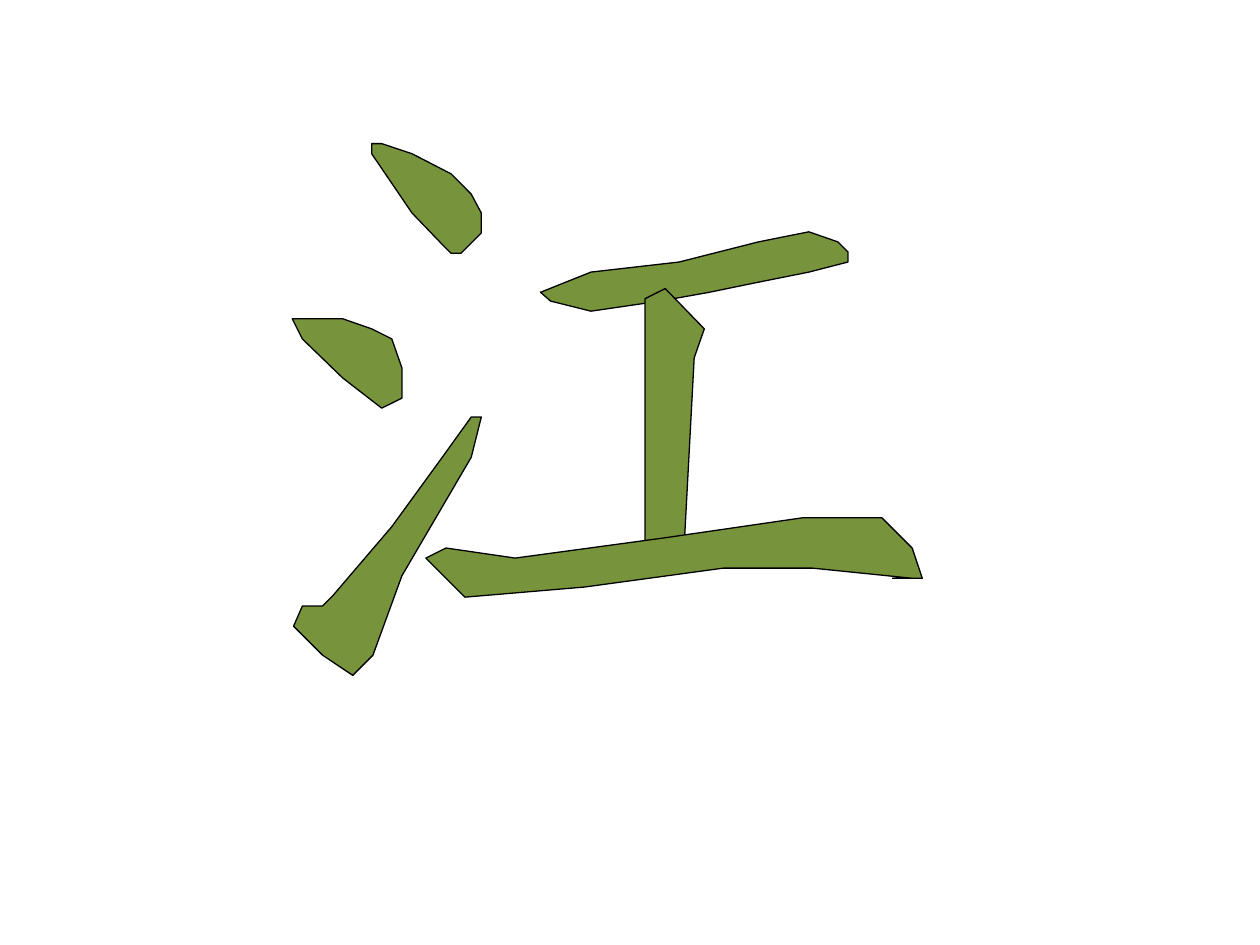
import pptx
import pptx.util
import pptx.dml.color

Inches = pptx.util.Inches
GREEN, BLACK = "77933C", "000000"

# Strokes of the character: corners in inches
DOTS = [
    [(2.95, 1.22), (3.27, 1.69), (3.5, 1.93), (3.58, 2.01), (3.66, 2.01),
     (3.82, 1.85), (3.82, 1.69), (3.74, 1.54), (3.58, 1.38), (3.27, 1.22),
     (3.03, 1.14), (2.95, 1.14)],
    [(2.32, 2.53), (2.48, 2.53), (2.72, 2.53), (2.95, 2.61), (3.11, 2.69),
     (3.19, 2.92), (3.19, 3.16), (3.03, 3.24), (2.72, 3), (2.4, 2.69)],
]
RISE = [
    (3.82, 3.31), (3.74, 3.31), (3.51, 3.63), (3.11, 4.18), (2.64, 4.73),
    (2.56, 4.81), (2.4, 4.81), (2.33, 4.97), (2.56, 5.2), (2.8, 5.36),
    (2.96, 5.2), (3.19, 4.57), (3.74, 3.63)]
UPPER = [
    (4.29, 2.32), (4.69, 2.16), (5.39, 2.08), (6.02, 1.92), (6.42, 1.84),
    (6.65, 1.92), (6.73, 2), (6.73, 2.08), (6.42, 2.16), (6.02, 2.24),
    (5.63, 2.32), (5.24, 2.39), (4.69, 2.47), (4.37, 2.39)]
STEM = [
    (5.12, 2.37), (5.12, 4.34), (5.43, 4.34), (5.51, 2.84), (5.59, 2.61),
    (5.28, 2.29)]
LOWER = [
    (7.24, 4.59), (6.45, 4.51), (6.06, 4.51), (5.74, 4.51), (4.64, 4.66),
    (3.69, 4.74), (3.38, 4.43), (3.54, 4.35), (4.09, 4.43), (5.27, 4.27),
    (6.37, 4.11), (7, 4.11), (7.24, 4.35), (7.32, 4.59), (7.16, 4.59),
    (7.08, 4.59)]


def color(code):
    return pptx.dml.color.RGBColor.from_string(code)


def draw(slide, corners, closed=True):
    points = [(Inches(x), Inches(y)) for x, y in corners]
    pen = slide.shapes.build_freeform(*points[0])
    pen.add_line_segments(points[1:], close=closed)
    shape = pen.convert_to_shape()
    shape.shadow.inherit = False
    shape.fill.solid()
    shape.fill.fore_color.rgb = color(GREEN)
    shape.line.color.rgb = color(BLACK)
    shape.line.width = pptx.util.Pt(0.75)


def main():
    deck = pptx.Presentation()
    deck.slide_width, deck.slide_height = Inches(10), Inches(7.5)
    slide = deck.slides.add_slide(deck.slide_layouts[6])
    for stroke in [*DOTS, RISE, UPPER, STEM]:
        draw(slide, stroke)
    draw(slide, LOWER, closed=False)
    deck.save("out.pptx")


if __name__ == "__main__":
    main()
